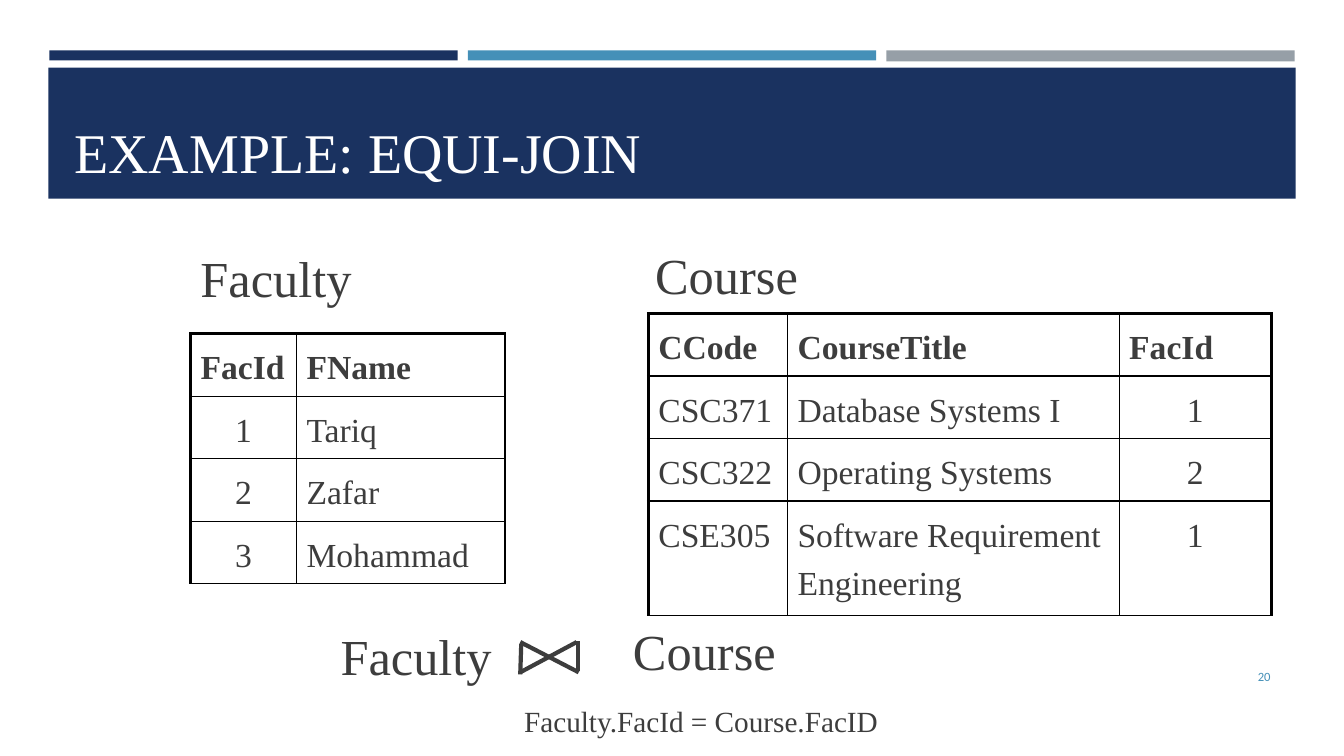
from lxml import etree
from pptx import Presentation
from pptx.dml.color import RGBColor
from pptx.enum.shapes import MSO_CONNECTOR, MSO_SHAPE
from pptx.enum.text import MSO_ANCHOR, PP_ALIGN
from pptx.oxml.ns import qn
from pptx.util import Inches, Pt

NAVY = RGBColor(0x1A, 0x32, 0x60)
BLUE = RGBColor(0x45, 0x90, 0xB8)
GRAY = RGBColor(0x96, 0x9F, 0xA7)
INK = RGBColor(0x3D, 0x3D, 0x3D)
WHITE = RGBColor(0xFF, 0xFF, 0xFF)
SERIF = "Times New Roman"

presentation = Presentation()
presentation.slide_width = Inches(13.33)
presentation.slide_height = Inches(7.5)
slide = presentation.slides.add_slide(presentation.slide_layouts[6])


def add_text(text, left, top, width, height, size=36, color=INK, name=SERIF,
             anchor=MSO_ANCHOR.TOP, align=PP_ALIGN.LEFT):
    box = slide.shapes.add_textbox(
        Inches(left), Inches(top), Inches(width), Inches(height))
    frame = box.text_frame
    frame.text = text
    frame.word_wrap = True
    frame.vertical_anchor = anchor
    paragraph = frame.paragraphs[0]
    paragraph.alignment = align
    font = paragraph.runs[0].font
    font.size, font.name, font.color.rgb = Pt(size), name, color
    return font


def add_table(rows, left, top, widths, centered_column):
    row_height = 0.57
    table = slide.shapes.add_table(
        len(rows), len(widths), Inches(left), Inches(top),
        Inches(sum(widths)), Inches(row_height * len(rows))).table
    table.horz_banding = False
    table.first_row = False
    for column, width in zip(table.columns, widths):
        column.width = Inches(width)
    for r, values in enumerate(rows):
        table.rows[r].height = Inches(row_height)
        for c, value in enumerate(values):
            cell = table.cell(r, c)
            cell.text = value
            paragraph = cell.text_frame.paragraphs[0]
            paragraph.line_spacing = 1.3
            if r > 0 and c == centered_column:
                paragraph.alignment = PP_ALIGN.CENTER
            font = paragraph.runs[0].font
            font.size, font.name, font.bold = Pt(24), SERIF, r == 0
            font.color.rgb = INK

            # Heavy borders on the left, right and top outer edges
            heavy = {"lnL": c == 0, "lnR": c == len(widths) - 1,
                     "lnT": r == 0, "lnB": False}
            properties = cell._tc.get_or_add_tcPr()
            for edge, is_heavy in heavy.items():
                border = etree.SubElement(properties, qn("a:" + edge))
                border.set("w", str(Pt(2.25 if is_heavy else 1)))
                solid = etree.SubElement(border, qn("a:solidFill"))
                etree.SubElement(solid, qn("a:srgbClr")).set("val", "000000")
            cell.fill.solid()
            cell.fill.fore_color.rgb = WHITE


# Top bars and title band
for left, top, width, height, color in [
    (0.49, 0.5, 4.05, 0.1, NAVY),
    (4.64, 0.5, 4.05, 0.1, BLUE),
    (8.79, 0.5, 4.05, 0.11, GRAY),
    (0.48, 0.67, 12.37, 1.3, NAVY),
]:
    bar = slide.shapes.add_shape(
        MSO_SHAPE.RECTANGLE, Inches(left), Inches(top),
        Inches(width), Inches(height))
    bar.shadow.inherit = False
    bar.fill.solid()
    bar.fill.fore_color.rgb = color
    bar.line.fill.background()
add_text("EXAMPLE: EQUI-JOIN", 0.64, 0.77, 12.06, 1.11, 40, WHITE,
         anchor=MSO_ANCHOR.BOTTOM)

# Relations
add_table([
    ("CCode", "CourseTitle", "FacId"),
    ("CSC371", "Database Systems I", "1"),
    ("CSC322", "Operating Systems", "2"),
    ("CSE305", "Software Requirement Engineering", "1"),
], 6.43, 3.11, [1.38, 3.29, 1.51], centered_column=2)
add_table([
    ("FacId", "FName"),
    ("1", "Tariq"),
    ("2", "Zafar"),
    ("3", "Mohammad"),
], 1.89, 3.31, [1.05, 2.07], centered_column=0)
add_text("Faculty", 1.89, 2.4, 2.27, 0.71)
add_text("Course", 6.4, 2.37, 2.27, 0.71)

# Join symbol
for x1, y1, x2, y2 in [
    (5.16, 6.37, 5.74, 6.67),
    (5.16, 6.67, 5.72, 6.37),
    (5.17, 6.39, 5.16, 6.69),
    (5.73, 6.36, 5.73, 6.66),
]:
    stroke = slide.shapes.add_connector(
        MSO_CONNECTOR.STRAIGHT, Inches(x1), Inches(y1), Inches(x2), Inches(y2))
    stroke.line.color.rgb = INK
    stroke.line.width = Pt(3)
    etree.SubElement(stroke._element.spPr, qn("a:effectLst"))

# Join expression with its condition as a subscript
add_text("Faculty", 3.28, 6.15, 1.73, 0.71)
add_text("Course", 6.18, 6.1, 1.63, 0.71)
condition = add_text("Faculty.FacId = Course.FacID", 5.1, 6.59, 6.41, 0.51)
condition._element.set("baseline", "-25000")

# Slide number
add_text("20", 11.55, 6.51, 1.15, 0.4, 9, BLUE, "Calibri",
         MSO_ANCHOR.MIDDLE, PP_ALIGN.RIGHT)

presentation.save("out.pptx")
